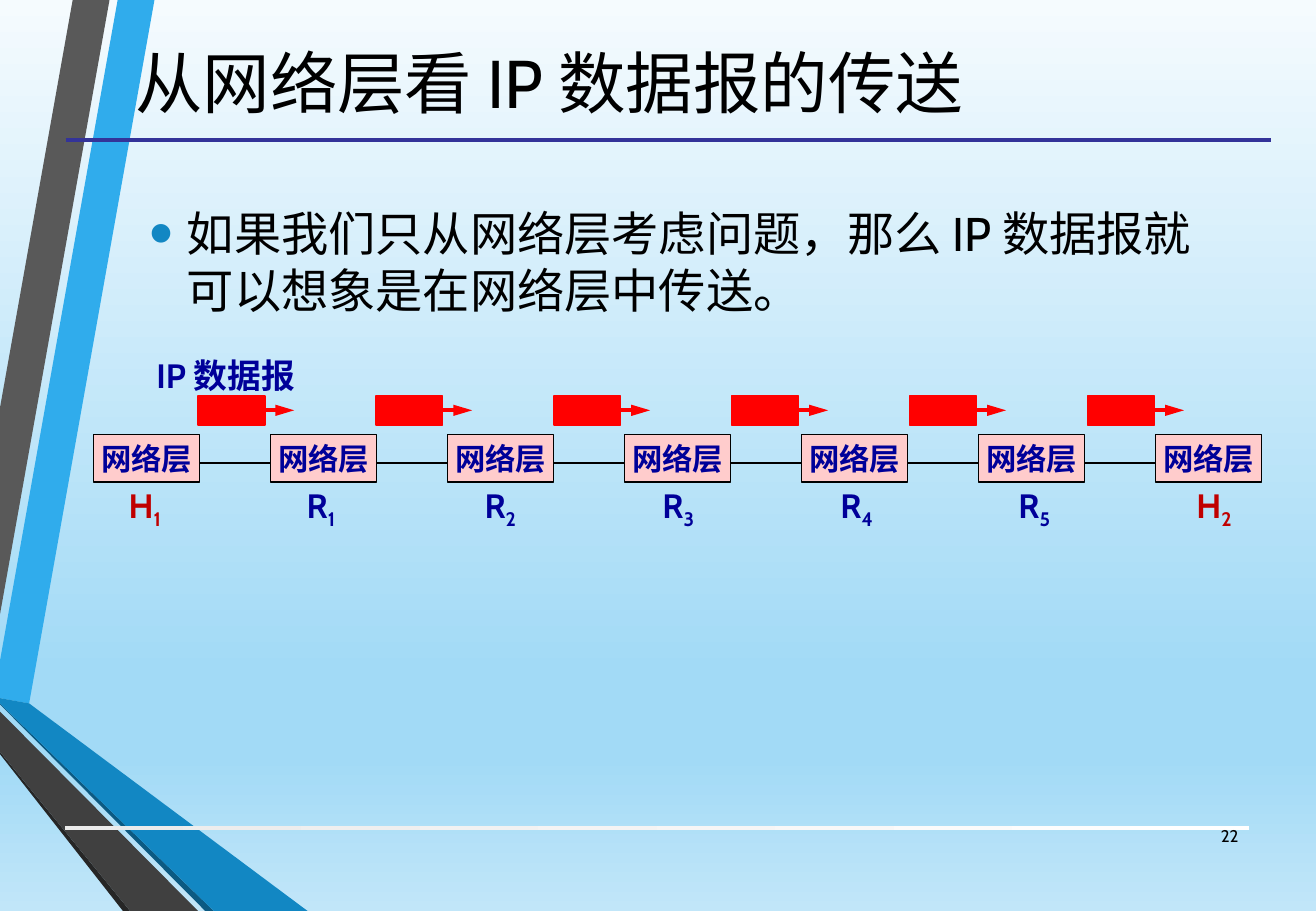
from copy import deepcopy
from dataclasses import dataclass

from lxml import etree
from pptx import Presentation
from pptx.dml.color import RGBColor
from pptx.enum.shapes import MSO_CONNECTOR, MSO_SHAPE
from pptx.enum.text import MSO_ANCHOR, MSO_AUTO_SIZE, PP_ALIGN
from pptx.oxml.ns import qn
from pptx.util import Cm, Pt

RECTANGLE = MSO_SHAPE.RECTANGLE
STRAIGHT = MSO_CONNECTOR.STRAIGHT
TOP, MIDDLE = MSO_ANCHOR.TOP, MSO_ANCHOR.MIDDLE
LEFT, CENTER, RIGHT = PP_ALIGN.LEFT, PP_ALIGN.CENTER, PP_ALIGN.RIGHT
NO_AUTOFIT = MSO_AUTO_SIZE.NONE


@dataclass(frozen=True)
class Theme:
    font: str = "Cabin"
    ink: str = "000000"
    router: str = "000099"
    host: str = "C00000"
    node: str = "FFCCCC"
    packet: str = "FF0000"
    rule: str = "333399"
    bullet: str = "1287C3"
    sky: tuple = ((0, "F5FBFE"), (0.74, "A2DAF6"), (0.83, "A2DAF6"), (1, "C1E6F9"))
    footer: tuple = ((0, "EBEBEB"), (1, "FFFFFF"))
    title_size: int = 40
    body_size: int = 28
    label_size: int = 20
    node_size: int = 18
    number_size: int = 10


THEME = Theme()

# Ribbons at the left edge: colour and corners in cm
RIBBONS = (
    ("30ACEC", ((0, 13.82), (0, 14.6), (0.61, 14.71), (3.23, 0), (2.46, 0))),
    ("595959", ((2.29, 0), (1.52, 0), (0, 8.53), (0, 12.85))),
    ("262626", ((0, 15.72), (0, 15.77), (2.57, 19.05), (2.72, 19.05))),
    ("0C5A82", ((0, 14.71), (0, 14.73), (4.29, 19.05), (4.47, 19.05))),
    ("1287C3", ((0, 14.71), (4.47, 19.05), (6.43, 19.05), (0.61, 14.71), (0, 14.6))),
    ("404040", ((0, 15.72), (2.72, 19.05), (4.14, 19.05), (0, 14.88))),
)
STATIONS = ("H1", "R1", "R2", "R3", "R4", "R5", "H2")
NODE_PITCH, PACKET_PITCH = 3.7, 3.72


def rgb(code):
    return RGBColor.from_string(code)


def set_values(target, values):
    for name, value in values.items():
        setattr(target, name, value)


class SlideBuilder:
    def __init__(self, slide, theme):
        self.slide = slide
        self.shapes = slide.shapes
        self.theme = theme

    def gradient(self, fill, stops, angle):
        fill.gradient()
        fill.gradient_angle = angle
        first = fill.gradient_stops[0]._gs
        while len(fill.gradient_stops) < len(stops):
            first.getparent().append(deepcopy(first))
        for stop, (position, color) in zip(fill.gradient_stops, stops):
            stop.position = position
            stop.color.rgb = rgb(color)

    def polygon(self, color, corners):
        points = [(Cm(x), Cm(y)) for x, y in corners]
        builder = self.shapes.build_freeform(*points[0])
        builder.add_line_segments(points[1:], close=True)
        self.paint(builder.convert_to_shape(), color)

    def paint(self, shape, color, line=None):
        shape.shadow.inherit = False
        if color:
            shape.fill.solid()
            shape.fill.fore_color.rgb = rgb(color)
        if line:
            shape.line.color.rgb = rgb(line)
            shape.line.width = Pt(0.75)
        else:
            shape.line.fill.background()

    def box(self, left, top, width, height, color=None, line=None):
        shape = self.shapes.add_shape(
            RECTANGLE, Cm(left), Cm(top), Cm(width), Cm(height))
        self.paint(shape, color, line)
        return shape

    def line(self, start, end, color, width, arrow=False):
        connector = self.shapes.add_connector(STRAIGHT, *map(Cm, start + end))
        connector.line.color.rgb = rgb(color)
        connector.line.width = Pt(width)
        if arrow:
            etree.SubElement(connector.line._get_or_add_ln(), qn("a:tailEnd"),
                             type="triangle", w="med", len="lg")
        etree.SubElement(connector._element.spPr, qn("a:effectLst"))

    def label(self, shape, text, size, color, align=LEFT, anchor=TOP, bold=False,
              subscript="", inset=0.25):
        frame = shape.text_frame
        set_values(frame, {
            "word_wrap": True, "auto_size": NO_AUTOFIT, "vertical_anchor": anchor,
            "margin_left": Cm(inset), "margin_right": Cm(inset),
            "margin_top": Cm(inset / 2), "margin_bottom": Cm(inset / 2)})
        para = frame.paragraphs[0]
        para.alignment = align
        for part in filter(None, (text, subscript)):
            span = para.add_run()
            span.text = part
            set_values(span.font, {
                "name": self.theme.font, "size": Pt(size), "bold": bold})
            span.font.color.rgb = rgb(color)
            properties = span._r.get_or_add_rPr()
            etree.SubElement(properties, qn("a:ea"), typeface=self.theme.font)
            if part == subscript:
                properties.set("baseline", "-25000")
        return para

    def text(self, left, top, width, height, *words, **style):
        box = self.shapes.add_textbox(Cm(left), Cm(top), Cm(width), Cm(height))
        return self.label(box, *words, **style)

    def title(self, left, top, width, height, text):
        title = self.shapes.title
        set_values(title, {"left": Cm(left), "top": Cm(top),
                           "width": Cm(width), "height": Cm(height)})
        self.label(title, text, self.theme.title_size, self.theme.ink,
                   align=CENTER, anchor=MIDDLE)
        # Bring the title in front of the ribbons
        title._element.getparent().append(title._element)

    def bullet(self, para, indent):
        para.space_after = Pt(6)
        properties = para._p.get_or_add_pPr()
        properties.set("marL", str(Cm(indent)))
        properties.set("indent", str(-Cm(indent)))
        color = etree.SubElement(properties, qn("a:buClr"))
        etree.SubElement(color, qn("a:srgbClr"), val=self.theme.bullet)
        etree.SubElement(properties, qn("a:buSzPct"), val="145000")
        etree.SubElement(properties, qn("a:buFont"), typeface="Arial")
        etree.SubElement(properties, qn("a:buChar"), char="•")


deck = Presentation()
set_values(deck, {"slide_width": Cm(27.51), "slide_height": Cm(19.05)})
page = SlideBuilder(deck.slides.add_slide(deck.slide_layouts[5]), THEME)

# Background, ribbons and rules
page.gradient(page.slide.background.fill, THEME.sky, 270)
for ribbon_color, ribbon_corners in RIBBONS:
    page.polygon(ribbon_color, ribbon_corners)
page.gradient(page.box(1.35, 17.27, 24.76, 0.08).fill, THEME.footer, 0)
page.line((1.37, 2.92), (26.57, 2.92), THEME.rule, 2.25)

# Title and statement
page.title(1.09, 0.13, 20.78, 3.15, "从网络层看 IP 数据报的传送")
statement = page.text(
    2.87, 3.53, 23.19, 3.86,
    "如果我们只从网络层考虑问题，那么 IP 数据报就可以想象是在网络层中传送。",
    THEME.body_size, THEME.ink, anchor=MIDDLE)
page.bullet(statement, 0.79)

# Chain of network layers with host and router names
page.line((3.56, 9.68), (24.94, 9.68), THEME.ink, 0.75)
for index, (kind, number) in enumerate(STATIONS):
    node = page.box(1.96 + index * NODE_PITCH, 9.09, 2.21, 0.99, THEME.node, THEME.ink)
    page.label(node, "网络层", THEME.node_size, THEME.router,
               align=CENTER, anchor=MIDDLE, bold=True, inset=0)
    page.text(2.44 + index * PACKET_PITCH, 10.01, 1.4, 1.12, kind, THEME.label_size,
              THEME.host if kind == "H" else THEME.router, bold=True, subscript=number)

# Datagrams moving between neighbours
page.text(3.02, 7.29, 3.4, 1.12, "IP 数据报", THEME.label_size, THEME.router, bold=True)
for index in range(len(STATIONS) - 1):
    shift = index * PACKET_PITCH
    page.box(4.14 + shift, 8.28, 1.4, 0.61, THEME.packet, THEME.packet)
    page.line((5.36 + shift, 8.58), (6.15 + shift, 8.58), THEME.packet, 2.25, arrow=True)

# Slide number
page.text(24.84, 16.97, 1.3, 1.02, "22", THEME.number_size, THEME.ink,
          align=RIGHT, anchor=MIDDLE)

deck.save("out.pptx")
